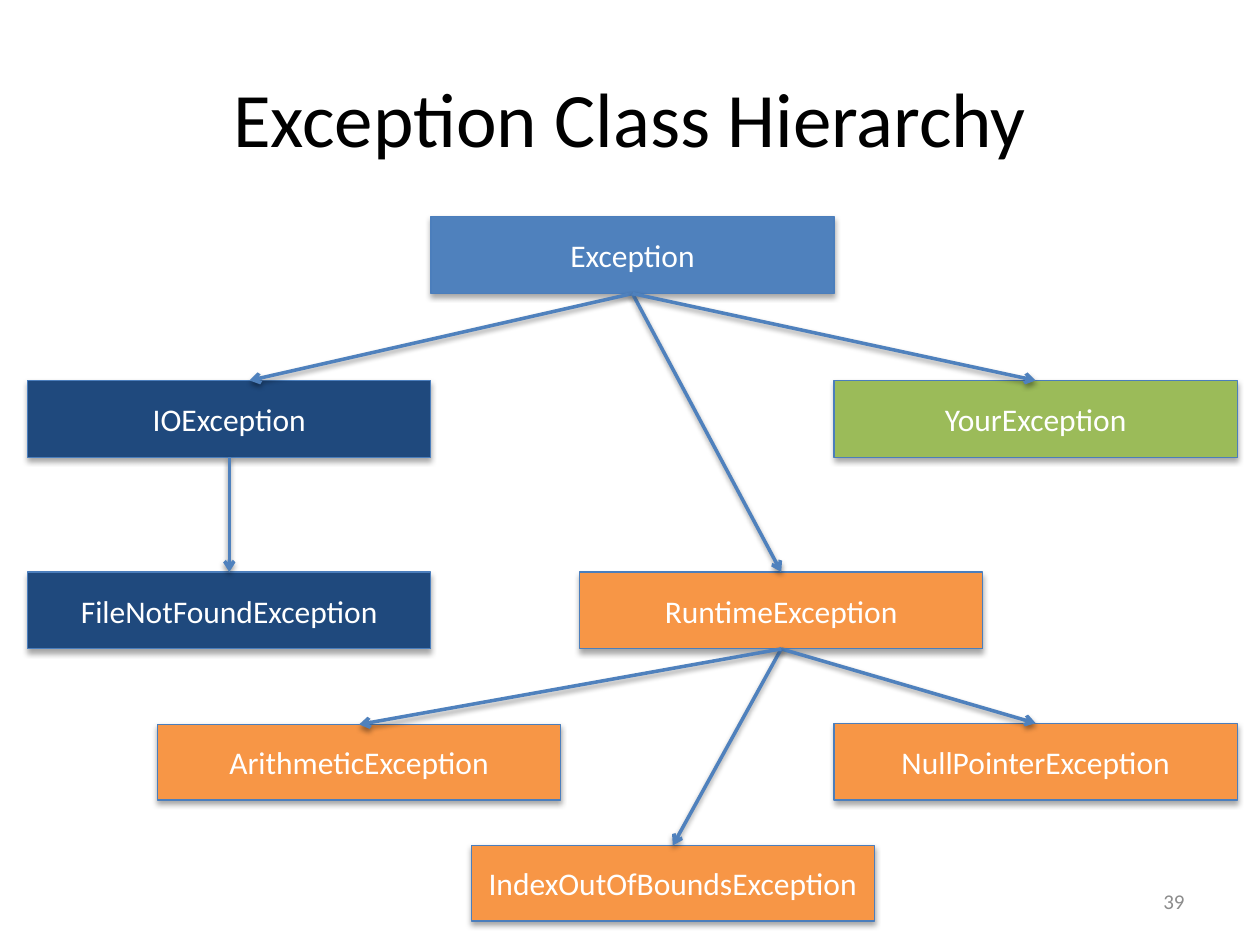
from dataclasses import dataclass

from lxml import etree
from pptx import Presentation
from pptx import util as u
from pptx.dml.color import RGBColor
from pptx.enum import shapes, text
from pptx.oxml.ns import qn


@dataclass(frozen=True)
class Theme:
    font: str = "Calibri"
    title_size: int = 44
    box_size: int = 18
    number_size: int = 12
    black: str = "000000"
    white: str = "FFFFFF"
    gray: str = "8C8C8C"
    blue: str = "4F81BD"
    navy: str = "1F497D"
    orange: str = "F79646"
    green: str = "9BBB59"
    border: str = "4B7EBC"


BOX_WIDTH, BOX_HEIGHT = 3.2, 0.61
TOP, BOTTOM = 0, 2  # connection sites


class SlideBuilder:
    def __init__(self, slide, theme):
        self.slide = slide
        self.theme = theme

    def set_text(self, shape, words, size, color, align):
        frame = shape.text_frame
        frame.word_wrap = True
        frame.vertical_anchor = text.MSO_ANCHOR.MIDDLE
        paragraph = frame.paragraphs[0]
        paragraph.text = words
        paragraph.alignment = align
        paragraph.font.name = self.theme.font
        paragraph.font.size = u.Pt(size)
        paragraph.font.color.rgb = RGBColor.from_string(color)

    def shadow(self, shape, opacity, distance):
        properties = shape._element.spPr
        effects = properties.find(qn("a:effectLst"))
        if effects is None:
            effects = etree.SubElement(properties, qn("a:effectLst"))
        outer = etree.SubElement(
            effects, qn("a:outerShdw"), blurRad=str(u.Pt(3.1)),
            dist=str(u.Pt(distance)), dir="5400000", rotWithShape="0")
        color = etree.SubElement(outer, qn("a:srgbClr"), val=self.theme.black)
        etree.SubElement(color, qn("a:alpha"), val=str(opacity * 1000))

    def label(self, words, left, top, width, height, size, color, align):
        shape = self.slide.shapes.add_textbox(
            *map(u.Inches, (left, top, width, height)))
        self.set_text(shape, words, size, color, align)

    def box(self, words, left, top, fill, height=BOX_HEIGHT):
        shape = self.slide.shapes.add_shape(
            shapes.MSO_SHAPE.RECTANGLE,
            *map(u.Inches, (left, top, BOX_WIDTH, height)))
        shape.fill.solid()
        shape.fill.fore_color.rgb = RGBColor.from_string(fill)
        shape.line.color.rgb = RGBColor.from_string(self.theme.border)
        shape.line.width = u.Pt(0.75)
        shape.shadow.inherit = False
        self.shadow(shape, opacity=35, distance=1.8)
        self.set_text(shape, words, self.theme.box_size, self.theme.white,
                      text.PP_ALIGN.CENTER)
        return shape

    def arrow(self, parent, child, end_shift=0):
        """Link parent's bottom to child's top, or beside its middle."""
        end_x = child.left + child.width // 2 + u.Inches(end_shift)
        connector = self.slide.shapes.add_connector(
            shapes.MSO_CONNECTOR.STRAIGHT,
            parent.left + parent.width // 2, parent.top + parent.height,
            end_x, child.top)
        connector.begin_connect(parent, BOTTOM)
        if not end_shift:
            connector.end_connect(child, TOP)
        connector.line.color.rgb = RGBColor.from_string(self.theme.blue)
        connector.line.width = u.Pt(2)
        outline = connector._element.spPr.find(qn("a:ln"))
        etree.SubElement(outline, qn("a:tailEnd"), type="arrow")
        self.shadow(connector, opacity=38, distance=1.6)


def main():
    presentation = Presentation()
    presentation.slide_width = u.Inches(10)
    presentation.slide_height = u.Inches(7.5)
    theme = Theme()
    slide = presentation.slides.add_slide(presentation.slide_layouts[6])
    builder = SlideBuilder(slide, theme)

    # Title and slide number
    builder.label("Exception Class Hierarchy", 0.5, 0.3, 9, 1.25,
                  theme.title_size, theme.black, text.PP_ALIGN.CENTER)
    builder.label("39", 7.17, 6.95, 2.33, 0.4,
                  theme.number_size, theme.gray, text.PP_ALIGN.RIGHT)

    # Classes, level by level
    left_column, right_column = 0.22, 6.62
    second_row, third_row = 3.02, 4.54
    root = builder.box("Exception", 3.42, 1.72, theme.blue)
    io_error = builder.box("IOException", left_column, second_row, theme.navy)
    custom = builder.box("YourException", right_column, second_row, theme.green)
    not_found = builder.box("FileNotFoundException", left_column, third_row,
                            theme.navy)
    runtime = builder.box("RuntimeException", 4.6, third_row, theme.orange)
    arithmetic = builder.box("ArithmeticException", 1.25, 5.75, theme.orange, 0.6)
    null_pointer = builder.box("NullPointerException", right_column, 5.74,
                               theme.orange)
    out_of_bounds = builder.box("IndexOutOfBoundsException", 3.74, 6.71,
                                theme.orange, 0.6)

    # Inheritance arrows
    builder.arrow(root, io_error, end_shift=0.16)
    for parent, child in (
        (root, runtime),
        (root, custom),
        (io_error, not_found),
        (runtime, null_pointer),
        (runtime, out_of_bounds),
        (runtime, arithmetic),
    ):
        builder.arrow(parent, child)

    presentation.save("out.pptx")


if __name__ == "__main__":
    main()
